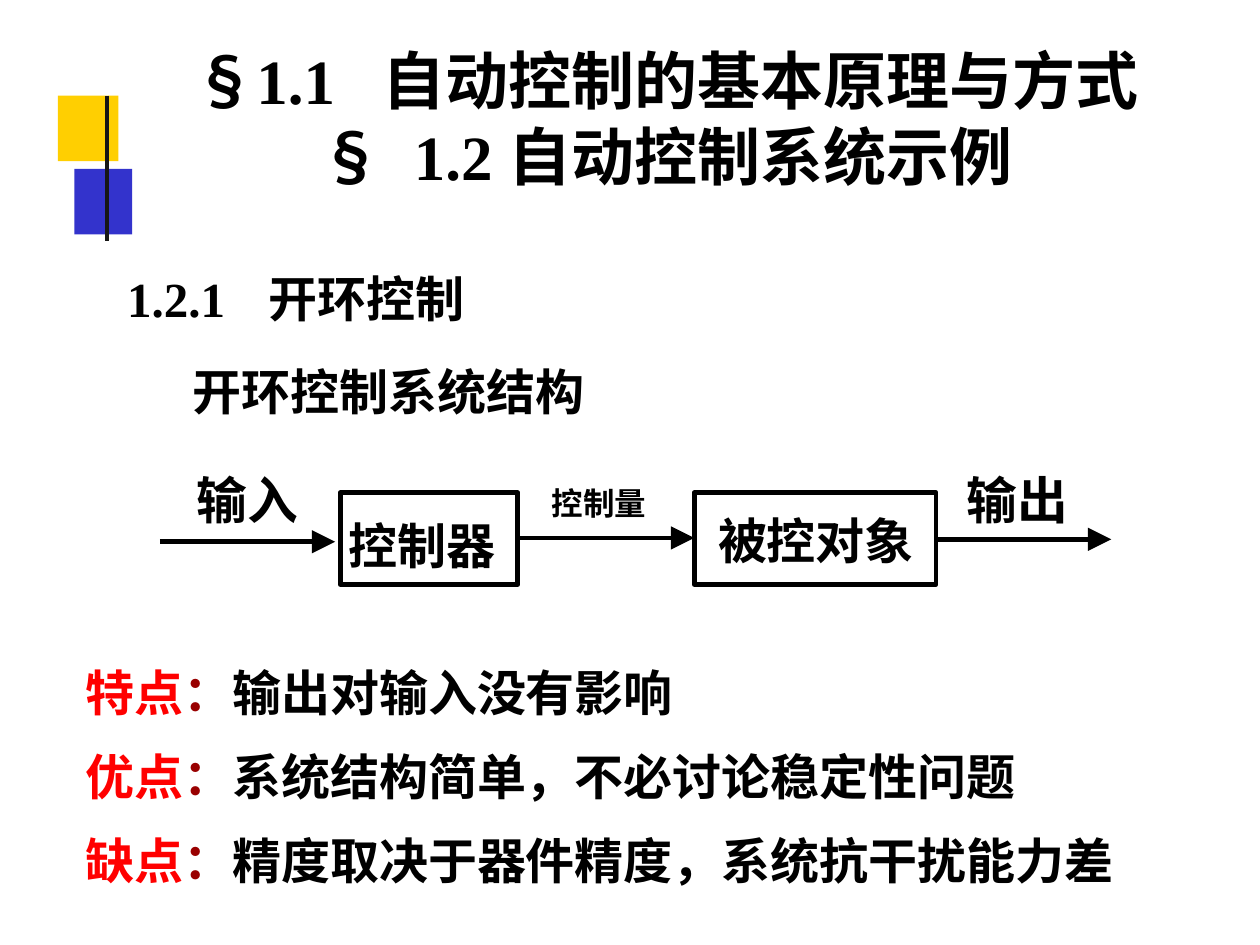
from lxml.etree import SubElement
from pptx import Presentation
from pptx.dml.color import RGBColor
from pptx.enum.shapes import MSO_CONNECTOR, MSO_SHAPE
from pptx.enum.text import MSO_ANCHOR, PP_ALIGN
from pptx.oxml.ns import qn
from pptx.util import Inches, Pt

BLACK = RGBColor(0, 0, 0)
INK = RGBColor(0x16, 0x16, 0x16)
GOLD = RGBColor(0xFF, 0xCF, 0x01)
BLUE = RGBColor(0x33, 0x33, 0xCC)
RED = RGBColor(0xFF, 0, 0)
MAROON = RGBColor(0x99, 0, 0)
HAN = "Noto Sans CJK SC"
LATIN = "Times New Roman"


class Board:
    """Holds the style and the current slide."""

    def __init__(self, slide, weight=2.66):
        """Keep the slide and the usual line weight."""
        self.shapes = slide.shapes
        self.weight = weight

    def rect(self, x, y, w, h, fill=None):
        """Draw a filled block, or a black frame when no fill is given."""
        shape = self.shapes.add_shape(
            MSO_SHAPE.RECTANGLE, Inches(x), Inches(y), Inches(w), Inches(h))
        shape.shadow.inherit = False
        if fill is None:
            shape.fill.background()
            shape.line.color.rgb = BLACK
            shape.line.width = Pt(self.weight)
        else:
            shape.fill.solid()
            shape.fill.fore_color.rgb = fill
            shape.line.fill.background()

    def line(self, x1, y1, x2, y2, color=BLACK, arrow=True):
        """Draw a straight line, with an arrowhead at its end if wanted."""
        link = self.shapes.add_connector(
            MSO_CONNECTOR.STRAIGHT, Inches(x1), Inches(y1), Inches(x2), Inches(y2))
        link.line.color.rgb = color
        link.line.width = Pt(self.weight)
        if arrow:
            SubElement(link.line._get_or_add_ln(), qn("a:tailEnd"),
                       type="triangle", w="lg", len="lg")
        SubElement(link._element.spPr, qn("a:effectLst"))

    def box(self, x, y, w, h, wrap=True):
        """Add a text box; a wrapping one has no margins."""
        frame = self.shapes.add_textbox(
            Inches(x), Inches(y), Inches(w), Inches(h)).text_frame
        frame.word_wrap = wrap
        frame.vertical_anchor = MSO_ANCHOR.TOP
        if wrap:
            frame.margin_left = frame.margin_right = 0
            frame.margin_top = frame.margin_bottom = 0
        return frame

    def para(self, frame, runs, size, space=None, left=0, first=0, tabs=()):
        """Fill the empty first paragraph, or add one, run by run."""
        para = frame.paragraphs[0]
        if para.runs:
            para = frame.add_paragraph()
        if space:
            para.line_spacing = space
        props = para._p.get_or_add_pPr()
        props.set("marL", str(Inches(left)))
        props.set("indent", str(Inches(first)))
        if tabs:
            stops = SubElement(props, qn("a:tabLst"))
            for tab in tabs:
                SubElement(stops, qn("a:tab"), pos=str(Inches(tab)), algn="l")
        for text, face, color in runs:
            if text == "\n":
                para.add_line_break()
                continue
            run = para.add_run()
            run.text = text
            font = run.font
            font.size, font.bold, font.name = Pt(size), True, face
            font.color.rgb = color
            SubElement(run._r.get_or_add_rPr(), qn("a:ea"), typeface=HAN)
        return para


deck = Presentation()
deck.slide_width, deck.slide_height = Inches(10), Inches(7.5)
board = Board(deck.slides.add_slide(deck.slide_layouts[6]))

# Corner ornament
board.rect(0.46, 0.76, 0.48, 0.52, GOLD)
board.rect(0.59, 1.34, 0.46, 0.52, BLUE)
board.line(0.85, 0.76, 0.85, 1.91, INK, arrow=False)

# Headings
title = board.para(board.box(1.39, 0.33, 7.78, 1.21), [
    ("§", HAN, BLACK),
    ("1.1\t自动控制的基本原理与方式", LATIN, BLACK),
    ("\n", LATIN, BLACK),
    ("§\u2002", HAN, BLACK),
    ("1.2\t自动控制系统示例", LATIN, BLACK),
], 36, left=0.01, tabs=(1.92,))
title.alignment = PP_ALIGN.CENTER

topic = board.box(0.99, 1.86, 7.53, 1.48)
board.para(topic, [("1.2.1\t", LATIN, BLACK), ("开环控制", HAN, BLACK)],
           28, 1.58, 0.64, -0.62, (1.64,))
board.para(topic, [("开环控制系统结构", HAN, BLACK)], 28, 1.58, 0.54)

# Block diagram
for x, w in ((2.7, 1.41), (5.51, 1.92)):
    board.rect(x, 3.91, w, 0.73)
for start, end, y in ((1.27, 2.66, 4.3), (4.11, 5.51, 4.27), (7.43, 8.82, 4.28)):
    board.line(start, y, end, y)
for text, x, w in (("输入", 1.55, 1.12), ("输出", 7.66, 0.85)):
    board.para(board.box(x, 3.72, w, 0.48), [(text, HAN, BLACK)], 29, left=0.01)
for text, x, y, w, h, size, space in (
        ("控制量", 4.28, 3.7, 0.95, 0.49, 18, Pt(28.2)),
        ("控制器", 2.67, 4.04, 1.4, 0.57, 28, None),
        ("被控对象", 5.6, 4, 1.78, 0.57, 28, None)):
    board.para(board.box(x, y, w, h, wrap=False), [(text, HAN, BLACK)], size, space)

# Remarks
notes = board.box(0.67, 5.06, 8.76, 2)
for key, text in (("特点", "输出对输入没有影响"),
                  ("优点", "系统结构简单，不必讨论稳定性问题"),
                  ("缺点", "精度取决于器件精度，系统抗干扰能力差")):
    board.para(notes, [(key, HAN, RED), ("：", HAN, MAROON), (text, HAN, BLACK)],
               28, 1.43, 0.01)

deck.save("out.pptx")
